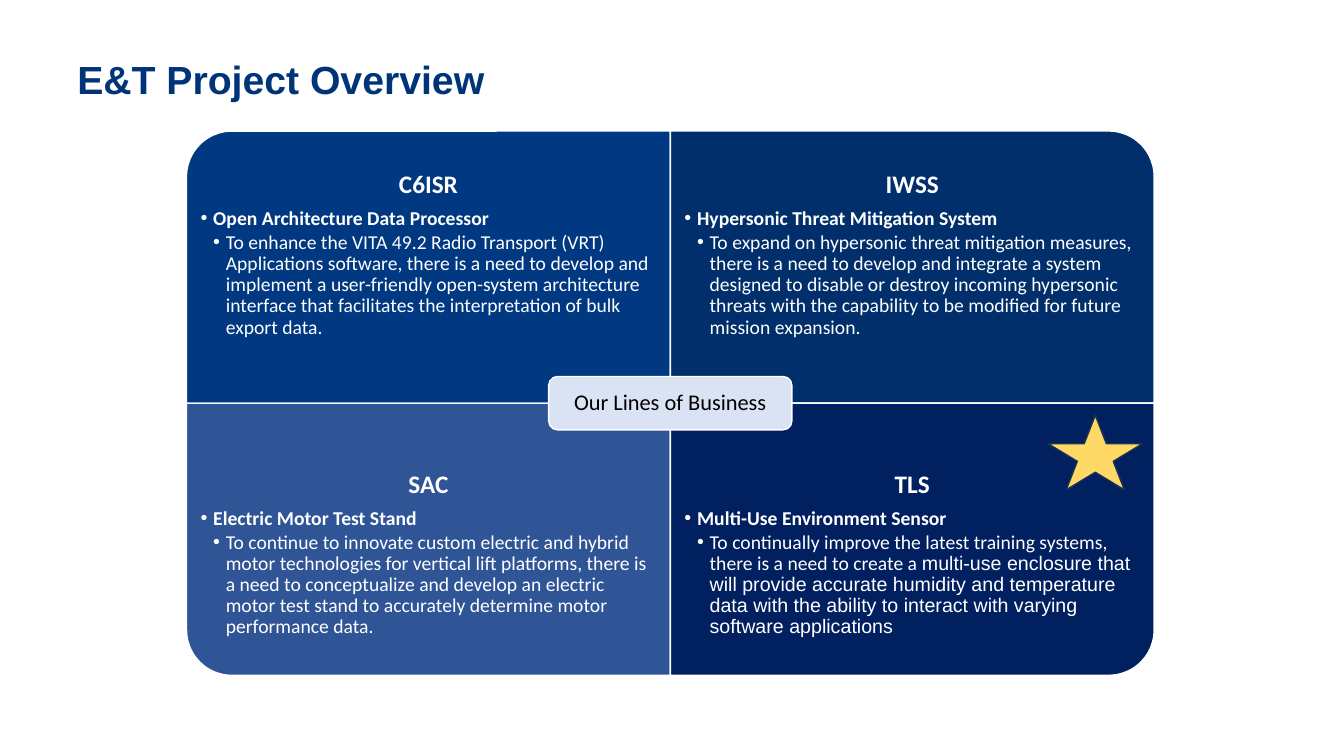
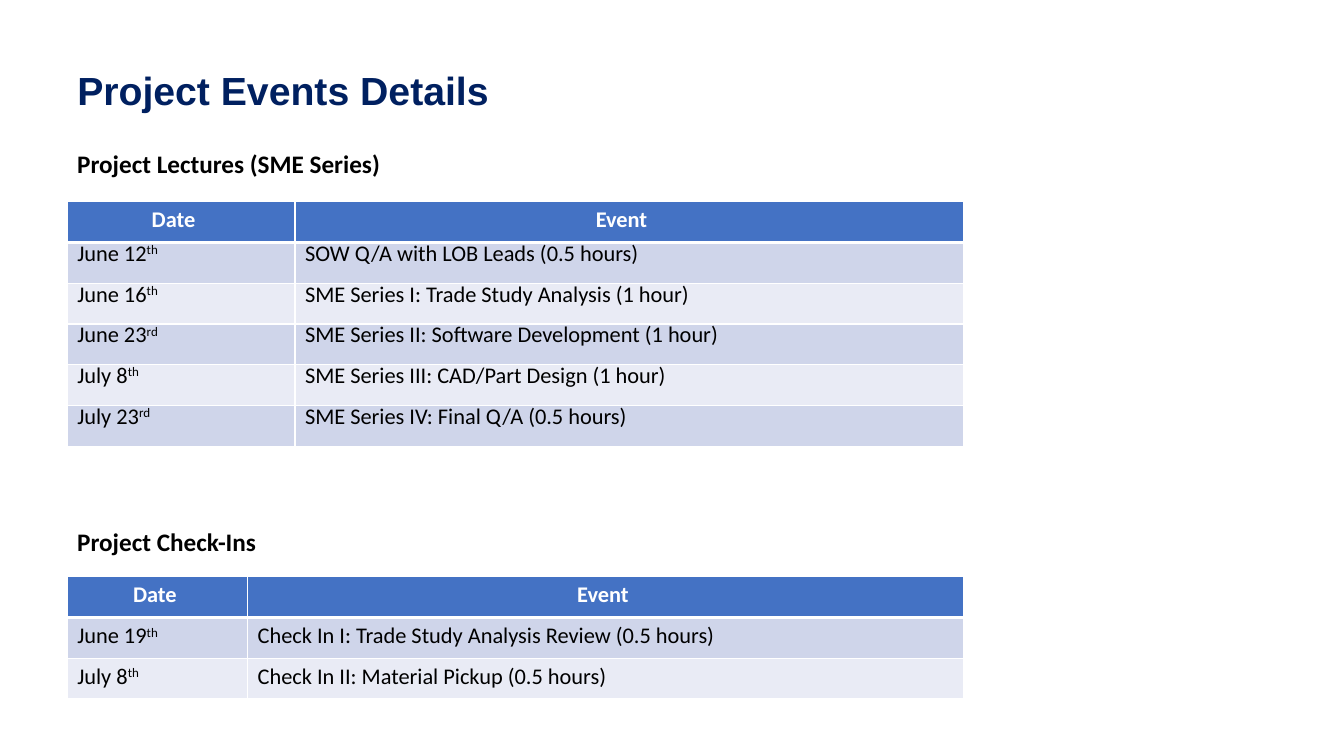
import pptx
import pptx.dml.color
import pptx.enum.shapes
import pptx.enum.text
import pptx.util
from lxml import etree
from pptx.oxml.ns import qn

COLUMNS, ROWS = 40, 30
LEFT_MARGIN = 2
SHAPE = pptx.enum.shapes.MSO_SHAPE
ANCHOR = pptx.enum.text.MSO_ANCHOR
ALIGN = pptx.enum.text.PP_ALIGN
WHITE, BLACK, NAVY = "FFFFFF", "000000", "002060"
HEADER_BLUE, BANDS = "4472C4", ("CFD5EA", "E9EBF5")


def color(hex_code):
    return pptx.dml.color.RGBColor.from_string(hex_code)


def write(frame, text, size=14, font="Calibri", ink=WHITE, bold=False,
          align=ALIGN.LEFT, spacing=None, after=0, level=0):
    paragraph = frame.paragraphs[0]
    if paragraph.runs:
        paragraph = frame.add_paragraph()
    if level:
        paragraph.level = level
        properties = paragraph._p.get_or_add_pPr()
        hanging = pptx.util.Inches(0.125)
        properties.set("marL", str(hanging * level))
        properties.set("indent", str(-hanging))
        etree.SubElement(properties, qn("a:buFont"), typeface="Arial")
        etree.SubElement(properties, qn("a:buChar"), char="•")
    paragraph.alignment = align
    paragraph.space_after = pptx.util.Pt(after)
    if spacing:
        paragraph.line_spacing = spacing
    parts = [(text, {})] if isinstance(text, str) else text
    for words, changes in parts:
        run = paragraph.add_run()
        run.text = words
        run.font.name = changes.get("font", font)
        run.font.size = pptx.util.Pt(size)
        run.font.bold = bold
        run.font.color.rgb = color(ink)
        if "baseline" in changes:
            run._r.get_or_add_rPr().set("baseline", changes["baseline"])


def ordinal(day):
    return [(day[:-2], {}), (day[-2:], {"baseline": "30000"})]


def border(cell, **widths):
    properties = cell._tc.get_or_add_tcPr()
    for side in "LRTB":
        width = pptx.util.Pt(widths.get(side, 1))
        line = etree.SubElement(properties, qn(f"a:ln{side}"), w=str(width))
        fill = etree.SubElement(line, qn("a:solidFill"))
        etree.SubElement(fill, qn("a:srgbClr"), val=WHITE)


class Deck:
    def __init__(self):
        self.file = pptx.Presentation()
        self.file.slide_width = pptx.util.Inches(13.33)
        self.file.slide_height = pptx.util.Inches(7.5)
        self.slide = None

    def place(self, left, top, width, height):
        column = self.file.slide_width / COLUMNS
        row = self.file.slide_height / ROWS
        return [round(value) for value in
                (left * column, top * row, width * column, height * row)]

    def start(self, title, ink, width, anchor):
        self.slide = self.file.slides.add_slide(self.file.slide_layouts[5])
        heading = self.slide.shapes.title
        (heading.left, heading.top, heading.width,
         heading.height) = self.place(LEFT_MARGIN, 2.2, width, 3)
        frame = heading.text_frame
        frame.auto_size = pptx.enum.text.MSO_AUTO_SIZE.NONE
        frame.vertical_anchor = anchor
        write(frame, title, size=28, font="Arial", ink=ink, bold=True, spacing=0.9)

    def shape(self, kind, box, fill, line=WHITE, turn=0):
        left, top, width, height = self.place(*box)
        if turn % 180:
            left, top = left + (width - height) // 2, top + (height - width) // 2
            width, height = height, width
        shape = self.slide.shapes.add_shape(kind, left, top, width, height)
        shape.rotation = turn
        shape.shadow.inherit = False
        shape.fill.solid()
        shape.fill.fore_color.rgb = color(fill)
        shape.line.color.rgb = color(line)
        shape.line.width = pptx.util.Pt(1)
        return shape

    def text_box(self, box, insets=(0.1, 0.05, 0.1, 0.05)):
        frame = self.slide.shapes.add_textbox(*self.place(*box)).text_frame
        frame.word_wrap = True
        (frame.margin_left, frame.margin_top, frame.margin_right,
         frame.margin_bottom) = map(pptx.util.Inches, insets)
        return frame

    def schedule(self, heading, heading_top, table_top, date_width, events,
                 header_inset, spacing=None):
        write(self.text_box((LEFT_MARGIN, heading_top, 10, 1.6)), heading,
              size=18, ink=BLACK, bold=True)
        entries = [("Date", "Event")] + [(ordinal(day), event) for day, event in events]
        box = self.place(LEFT_MARGIN, table_top, 26.67, 1.62 * len(entries))
        table = self.slide.shapes.add_table(len(entries), 2, *box).table
        table.columns[0].width = self.place(0, 0, date_width, 0)[2]
        table.columns[1].width = box[2] - table.columns[0].width
        for row, entry in enumerate(entries):
            table.rows[row].height = box[3] // len(entries)
            for column, content in enumerate(entry):
                cell = table.cell(row, column)
                border(cell, T=3 if row == 1 else 1, B=1 if row else 3)
                cell.fill.solid()
                if row:
                    cell.fill.fore_color.rgb = color(BANDS[(row - 1) % 2])
                    write(cell.text_frame, content, size=16, ink=BLACK, spacing=spacing)
                else:
                    cell.fill.fore_color.rgb = color(HEADER_BLUE)
                    cell.margin_right = pptx.util.Inches(header_inset)
                    write(cell.text_frame, content, size=16, bold=True, align=ALIGN.CENTER)


def project_overview(deck):
    deck.start("E&T Project Overview", "003478", 14.55, ANCHOR.TOP)
    businesses = [
        ("C6ISR", "003882", 270, "Open Architecture Data Processor",
         "To enhance the VITA 49.2 Radio Transport (VRT) Applications software, there is "
         "a need to develop and implement a user-friendly open-system architecture "
         "interface that facilitates the interpretation of bulk export data."),
        ("IWSS", "002F6C", 0, "Hypersonic Threat Mitigation System",
         "To expand on hypersonic threat mitigation measures, there is a need to develop "
         "and integrate a system designed to disable or destroy incoming hypersonic "
         "threats with the capability to be modified for future mission expansion."),
        ("SAC", "2F5597", 180, "Electric Motor Test Stand",
         "To continue to innovate custom electric and hybrid motor technologies for "
         "vertical lift platforms, there is a need to conceptualize and develop an "
         "electric motor test stand to accurately determine motor performance data."),
        ("TLS", NAVY, 90, "Multi-Use Environment Sensor",
         [("To continually improve the latest training systems, there is a need to "
           "create a ", {}),
          ("multi-use enclosure that will provide accurate humidity and temperature data "
           "with the ability to interact with varying software applications",
           {"font": "Arial"})]),
    ]
    center_x, center_y, width, height = 19.95, 16, 14.4, 10.8
    for index, (business, fill, turn, project, need) in enumerate(businesses):
        row, column = divmod(index, 2)
        left = center_x + (column - 1) * width
        top = center_y + (row - 1) * height
        deck.shape(SHAPE.ROUND_1_RECTANGLE, (left, top, width, height), fill, turn=turn)
        summary = deck.text_box((left, top + row * 2.7, width, 8.1),
                                (0.14, 0 if row else 0.4, 0.14, 0.14))
        write(summary, business, size=18, bold=True, align=ALIGN.CENTER,
              spacing=0.9, after=7)
        write(summary, project, bold=True, spacing=0.9, after=2, level=1)
        write(summary, need, spacing=0.9, after=2, level=2)
    hub_width, hub_height = 7.24, 2.12
    hub = deck.shape(SHAPE.ROUNDED_RECTANGLE,
                     (center_x - hub_width / 2, center_y - hub_height / 2,
                      hub_width, hub_height), "DAE3F3")
    hub.text_frame.vertical_anchor = ANCHOR.MIDDLE
    write(hub.text_frame, "Our Lines of Business", size=16, ink=BLACK,
          align=ALIGN.CENTER, spacing=0.9)
    deck.shape(SHAPE.STAR_5_POINT, (31.2, 16.48, 2.8, 2.96), "FFD966", line="1E3256")


def project_events(deck):
    deck.start("Project Events Details", NAVY, 36, ANCHOR.MIDDLE)
    lectures = [
        ("June 12th", "SOW Q/A with LOB Leads (0.5 hours)"),
        ("June 16th", "SME Series I: Trade Study Analysis (1 hour)"),
        ("June 23rd", "SME Series II: Software Development (1 hour)"),
        ("July 8th", "SME Series III: CAD/Part Design (1 hour)"),
        ("July 23rd", "SME Series IV: Final Q/A (0.5 hours)"),
    ]
    check_ins = [
        ("June 19th", "Check In I: Trade Study Analysis Review (0.5 hours)"),
        ("July 8th", "Check In II: Material Pickup (0.5 hours)"),
    ]
    deck.schedule("Project Lectures (SME Series)", 5.68, 8, 6.78, lectures,
                  header_inset=0.25, spacing=pptx.util.Pt(14.2))
    deck.schedule("Project Check-Ins", 20.68, 22.88, 5.37, check_ins, header_inset=0.15)


def main():
    deck = Deck()
    project_overview(deck)
    project_events(deck)
    deck.file.save("out.pptx")


if __name__ == "__main__":
    main()
